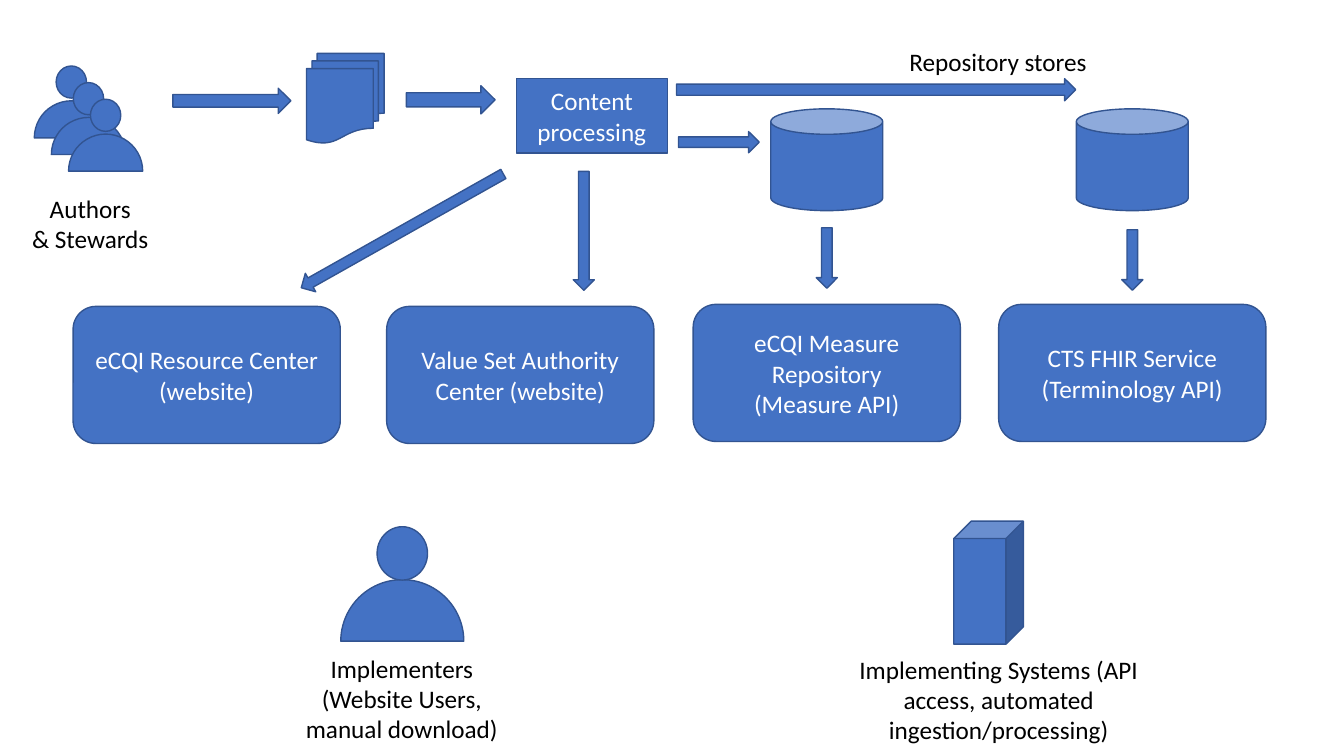
from pptx import Presentation
from pptx.dml.color import RGBColor
from pptx.enum.shapes import MSO_SHAPE
from pptx.enum.text import MSO_ANCHOR, MSO_AUTO_SIZE, PP_ALIGN
from pptx.util import Inches, Pt

BLUE, OUTLINE, WHITE, BLACK = "4472C4", "325491", "FFFFFF", "000000"
FONT = {"name": "Calibri", "size": Pt(18)}

# Centres of the four channel columns
RESOURCE, VALUE_SET, MEASURE, TERMINOLOGY = 2.05, 5.16, 8.2, 11.23
WEBSITE_ROW, API_ROW = 3.04, 3.02
CHANNEL_SIZE = (2.65, 1.36)
STORE_TOP, STORE_SIZE = 1.08, (1.11, 1.01)


def paint(color_format, hex_color):
    color_format.rgb = RGBColor.from_string(hex_color)


def write(frame, lines, color, align=PP_ALIGN.CENTER):
    for index, line in enumerate(lines):
        paragraph = frame.paragraphs[0] if index == 0 else frame.add_paragraph()
        paragraph.text = line
        paragraph.alignment = align
        for attribute, value in FONT.items():
            setattr(paragraph.font, attribute, value)
        paint(paragraph.font.color, color)


def figure(slide, preset, left, top, width, height, lines=()):
    """Add a blue outlined preset shape with optional white text."""
    shape = slide.shapes.add_shape(
        preset, Inches(left), Inches(top), Inches(width), Inches(height))
    shape.shadow.inherit = False
    shape.fill.solid()
    paint(shape.fill.fore_color, BLUE)
    paint(shape.line.color, OUTLINE)
    shape.line.width = Pt(1)
    frame = shape.text_frame
    frame.word_wrap = True
    frame.vertical_anchor = MSO_ANCHOR.MIDDLE
    write(frame, lines, WHITE)
    return shape


def caption(slide, left, top, width, height, lines, wrap=True,
            align=PP_ALIGN.CENTER):
    box = slide.shapes.add_textbox(
        Inches(left), Inches(top), Inches(width), Inches(height))
    settings = {"word_wrap": wrap, "auto_size": MSO_AUTO_SIZE.SHAPE_TO_FIT_TEXT}
    for attribute, value in settings.items():
        setattr(box.text_frame, attribute, value)
    write(box.text_frame, lines, BLACK, align)


def person(slide, left, top, size, head_lift):
    """Add half-disc shoulders and a head raised by head_lift of the size."""
    shoulders = figure(slide, MSO_SHAPE.PIE, left, top, size, size)
    shoulders.rotation = 180
    shoulders.adjustments[0] = 0
    shoulders.adjustments[1] = 108  # 180 degrees in 60000ths, over 100000
    figure(slide, MSO_SHAPE.OVAL, left + 0.295 * size, top - head_lift * size,
           0.41 * size, 0.434 * size)


def arrow(slide, center_x, center_y, length, thickness, angle=0):
    block = figure(slide, MSO_SHAPE.RIGHT_ARROW, center_x - length / 2,
                   center_y - thickness / 2, length, thickness)
    block.rotation = angle


def channel(slide, center_x, top, *lines):
    width, height = CHANNEL_SIZE
    figure(slide, MSO_SHAPE.ROUNDED_RECTANGLE, center_x - width / 2, top,
           width, height, lines)


def store(slide, center_x):
    width, height = STORE_SIZE
    figure(slide, MSO_SHAPE.CAN, center_x - width / 2, STORE_TOP, width, height)


def main():
    deck = Presentation()
    deck.slide_width, deck.slide_height = Inches(13.33), Inches(7.5)
    slide = deck.slides.add_slide(deck.slide_layouts[6])

    # Authoring and processing
    for step in range(3):
        person(slide, 0.34 + 0.17 * step, 1 + 0.165 * step, 0.735, 0.47)
    caption(slide, 0.2, 1.87, 1.39, 0.71, ["Authors", "& Stewards"])
    figure(slide, MSO_SHAPE.FLOWCHART_MULTIDOCUMENT, 3.04, 0.53, 0.77, 0.89)
    figure(slide, MSO_SHAPE.RECTANGLE, 5.12, 0.78, 1.5, 0.74,
           ["Content processing"])

    # Repositories
    caption(slide, 8.92, 0.41, 1.98, 0.4, ["Repository stores"],
            wrap=False, align=PP_ALIGN.LEFT)
    for column in (MEASURE, TERMINOLOGY):
        store(slide, column)

    # Publication channels
    channel(slide, RESOURCE, WEBSITE_ROW, "eCQI Resource Center (website)")
    channel(slide, VALUE_SET, WEBSITE_ROW, "Value Set Authority Center (website)")
    channel(slide, MEASURE, API_ROW, "eCQI Measure Repository", "(Measure API)")
    channel(slide, TERMINOLOGY, API_ROW, "CTS FHIR Service (Terminology API)")

    # Consumers
    person(slide, 3.38, 5.75, 1.22, 0.43)
    caption(slide, 2.89, 6.43, 2.19, 1.01,
            ["Implementers (Website Users, manual download)"])
    figure(slide, MSO_SHAPE.CUBE, 9.46, 5.17, 0.69, 1.22)
    caption(slide, 8.27, 6.44, 3.27, 1.01,
            ["Implementing Systems (API access, automated ingestion/processing)"])

    flows = [
        (2.3, 1, 1.17, 0.25),               # authors to documents
        (4.47, 0.99, 0.88, 0.28),           # documents to processing
        (7.13, 1.41, 0.8, 0.21),            # processing to measure store
        (8.69, 0.89, 3.96, 0.22),           # processing to terminology store
        (3.99, 2.29, 2.3, 0.21, 150.6),     # processing to resource center
        (5.79, 2.29, 1.18, 0.21, 90),       # processing to value sets
        (MEASURE, 2.56, 0.6, 0.21, 90),
        (TERMINOLOGY, 2.58, 0.6, 0.21, 90),
    ]
    for flow in flows:
        arrow(slide, *flow)

    deck.save("out.pptx")


if __name__ == "__main__":
    main()
